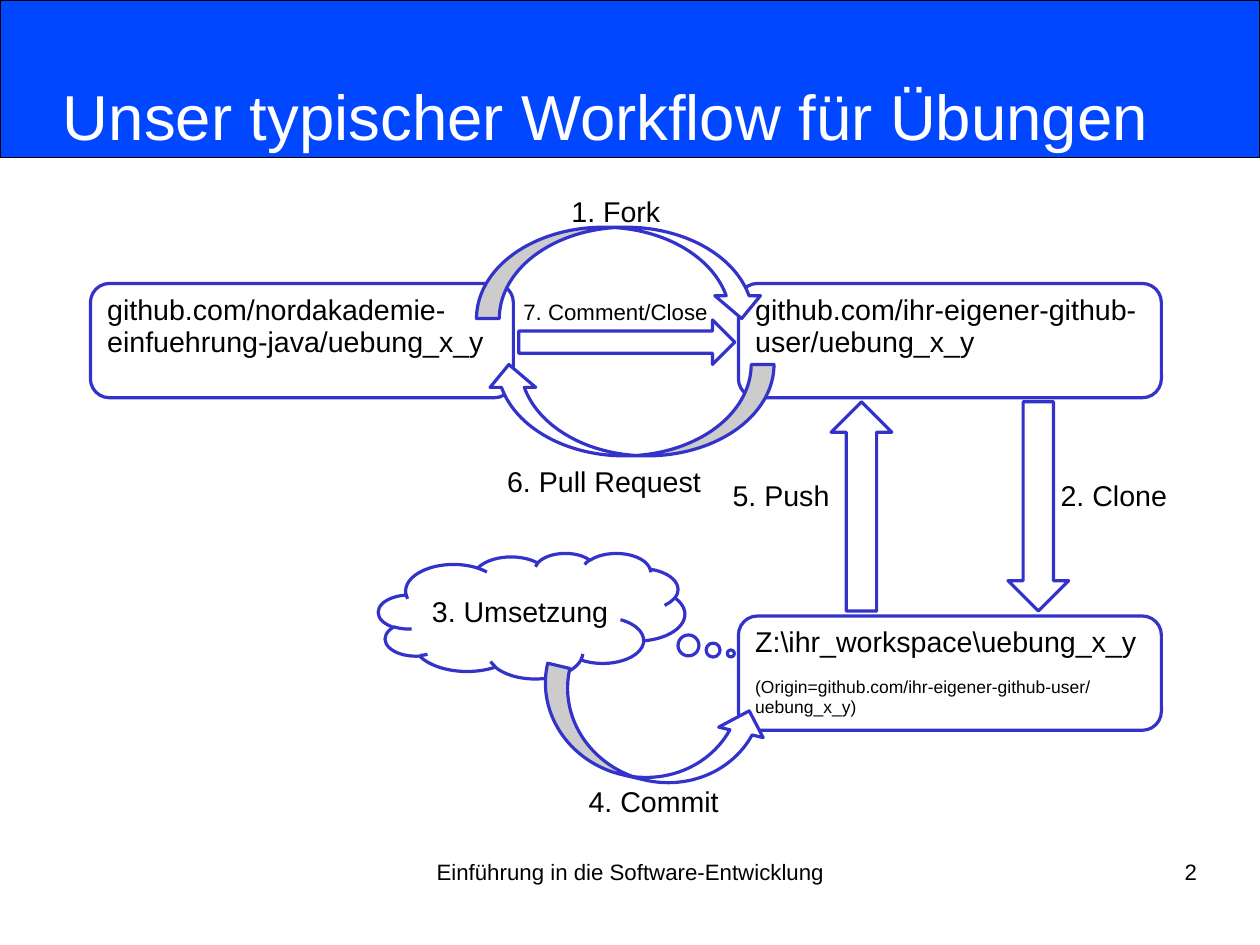
import pptx
import pptx.dml.color
import pptx.enum.shapes
import pptx.enum.text
import pptx.util

Cm = pptx.util.Cm
Pt = pptx.util.Pt
Shape = pptx.enum.shapes.MSO_SHAPE
Align = pptx.enum.text.PP_ALIGN
Anchor = pptx.enum.text.MSO_ANCHOR

BLACK, WHITE, OUTLINE, BAND = "000000", "FFFFFF", "3333CC", "0047FF"
REPOSITORY_LEFT, LOCAL_LEFT = 2.01, 16.41
REPOSITORY_TOP, WORKSPACE_TOP = 6.3, 13.69


def colour(value):
    """Turn a hex string into a colour."""
    return pptx.dml.color.RGBColor.from_string(value)


def set_attributes(target, values):
    """Set every attribute named in a dict of format values."""
    for name, value in values.items():
        setattr(target, name, value)


def place(shape, left, top, width, height):
    """Move and size a shape in centimetres."""
    set_attributes(shape, {"left": Cm(left), "top": Cm(top),
                           "width": Cm(width), "height": Cm(height)})


def write(shape, lines, margins=(0.25, 0.13, 0.25, 0.13), anchor=Anchor.TOP, wrap=True,
          align=Align.LEFT, text_colour=BLACK, spacing=0.93):
    """Fill a shape with lines given as text, size and space before."""
    frame = shape.text_frame
    left, top, right, bottom = (Cm(margin) for margin in margins)
    set_attributes(frame, {"margin_left": left, "margin_top": top,
                           "margin_right": right, "margin_bottom": bottom,
                           "vertical_anchor": anchor, "word_wrap": wrap,
                           "auto_size": pptx.enum.text.MSO_AUTO_SIZE.NONE})
    for index, (text, size, before) in enumerate(lines):
        paragraph = frame.add_paragraph() if index else frame.paragraphs[0]
        paragraph.text = text
        set_attributes(paragraph, {"alignment": align, "line_spacing": spacing,
                                   "space_before": Pt(before)})
        set_attributes(paragraph.font, {"name": "Arial", "size": Pt(size)})
        paragraph.font.color.rgb = colour(text_colour)


def add_figure(slide, kind, box, fill=WHITE, line=OUTLINE, line_width=2, rotation=0):
    """Add a filled and outlined preset shape."""
    shape = slide.shapes.add_shape(kind, *(Cm(length) for length in box))
    shape.shadow.inherit = False
    shape.fill.solid()
    shape.fill.fore_color.rgb = colour(fill)
    shape.line.color.rgb = colour(line)
    set_attributes(shape, {"rotation": rotation})
    set_attributes(shape.line, {"width": Pt(line_width)})
    return shape


def add_repository(slide, left, top, lines):
    """Add a rounded box that names a repository."""
    write(add_figure(slide, Shape.ROUNDED_RECTANGLE, (left, top, 9.4, 2.54)), lines)


def add_text(slide, text, size, box, **options):
    """Add a text box with one line."""
    shape = slide.shapes.add_textbox(*(Cm(length) for length in box))
    write(shape, [(text, size, 0)], **options)


def add_step(slide, kind, arrow_box, label, label_box, size=18, rotation=0):
    """Add a workflow arrow and its label."""
    add_figure(slide, kind, arrow_box, rotation=rotation)
    add_text(slide, label, size, label_box, wrap=False, spacing=1.0)


def add_heading(slide, text):
    """Write the title on a coloured band."""
    band = add_figure(slide, Shape.RECTANGLE, (0, 0, 28, 3.5), BAND, BLACK, 0.75)
    title = slide.shapes.title
    title.element.addprevious(band.element)
    place(title, 1.4, 0.84, 25.2, 3.5)
    write(title, [(text, 40, 0)], margins=(0, 0.1, 0, 0), anchor=Anchor.MIDDLE,
          text_colour=WHITE)


def main():
    """Build the workflow slide."""
    presentation = pptx.Presentation()
    set_attributes(presentation, {"slide_width": Cm(28), "slide_height": Cm(21)})
    slide = presentation.slides.add_slide(presentation.slide_layouts[5])
    add_heading(slide, "Unser typischer Workflow für Übungen")

    for text, left, width, align in (
            ("Einführung in die Software-Entwicklung", 9.58, 8.86, Align.CENTER),
            ("2", 20.07, 6.53, Align.RIGHT)):
        add_text(slide, text, 14, (left, 19.13, width, 1.45), margins=(0, 0, 0, 0), align=align)

    add_repository(slide, REPOSITORY_LEFT, REPOSITORY_TOP,
                   [("github.com/nordakademie-einfuehrung-java/uebung_x_y", 18, 0)])
    cloud = add_figure(slide, Shape.CLOUD_CALLOUT, (8.41, 12.29, 6.81, 2.79))
    cloud.adjustments[0], cloud.adjustments[1] = 0.65, 0.3
    write(cloud, [("3. Umsetzung", 18, 0)], anchor=Anchor.MIDDLE)
    add_repository(slide, LOCAL_LEFT, REPOSITORY_TOP,
                   [("github.com/ihr-eigener-github-user/uebung_x_y", 18, 0)])
    add_repository(slide, LOCAL_LEFT, WORKSPACE_TOP,
                   [("Z:\\ihr_workspace\\uebung_x_y", 18, 0),
                    ("(Origin=github.com/ihr-eigener-github-user/uebung_x_y)", 11, 12)])

    add_step(slide, Shape.CURVED_DOWN_ARROW, (10.59, 5.05, 6.4, 2.03),
             "1. Fork", (12.45, 4.17, 2.49, 1.02))
    add_step(slide, Shape.DOWN_ARROW, (22.4, 8.93, 1.35, 4.65),
             "2. Clone", (23.32, 10.49, 2.87, 1.02))
    add_step(slide, Shape.UP_ARROW, (18.47, 8.93, 1.35, 4.65),
             "5. Push", (16.03, 10.49, 2.67, 1.02))
    add_step(slide, Shape.CURVED_DOWN_ARROW, (10.8, 8.1, 6.4, 2.03),
             "6. Pull Request", (11.02, 10.19, 4.8, 1.02), rotation=180)
    add_step(slide, Shape.RIGHT_ARROW, (11.53, 7.11, 4.8, 0.99),
             "7. Comment/Close", (11.38, 6.5, 4.6, 0.86), size=14)
    add_step(slide, Shape.CURVED_UP_ARROW, (11.87, 15.3, 5.11, 2.03),
             "4. Commit", (12.83, 17.3, 3.4, 1.02), rotation=13.3)

    presentation.save("out.pptx")


if __name__ == "__main__":
    main()
